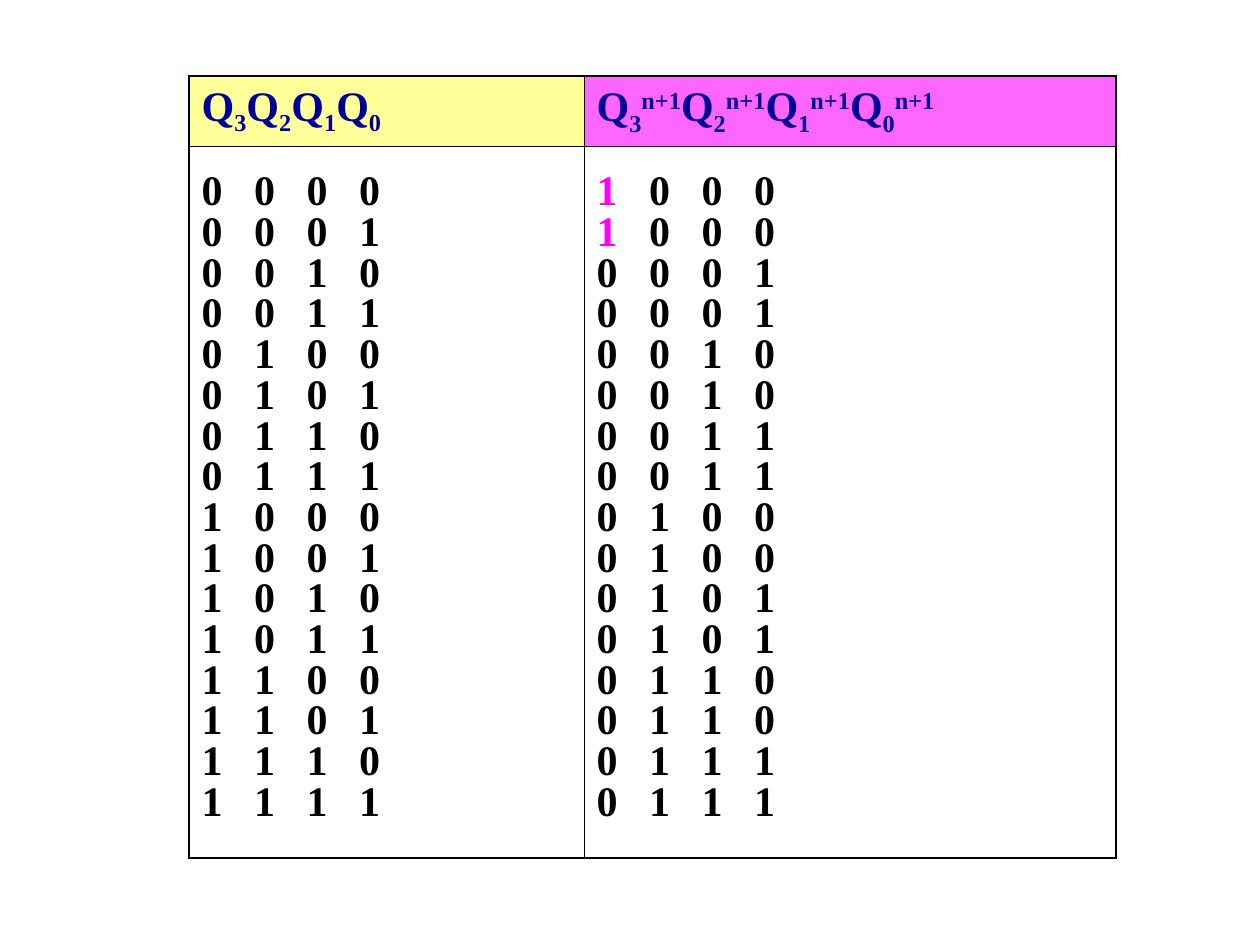
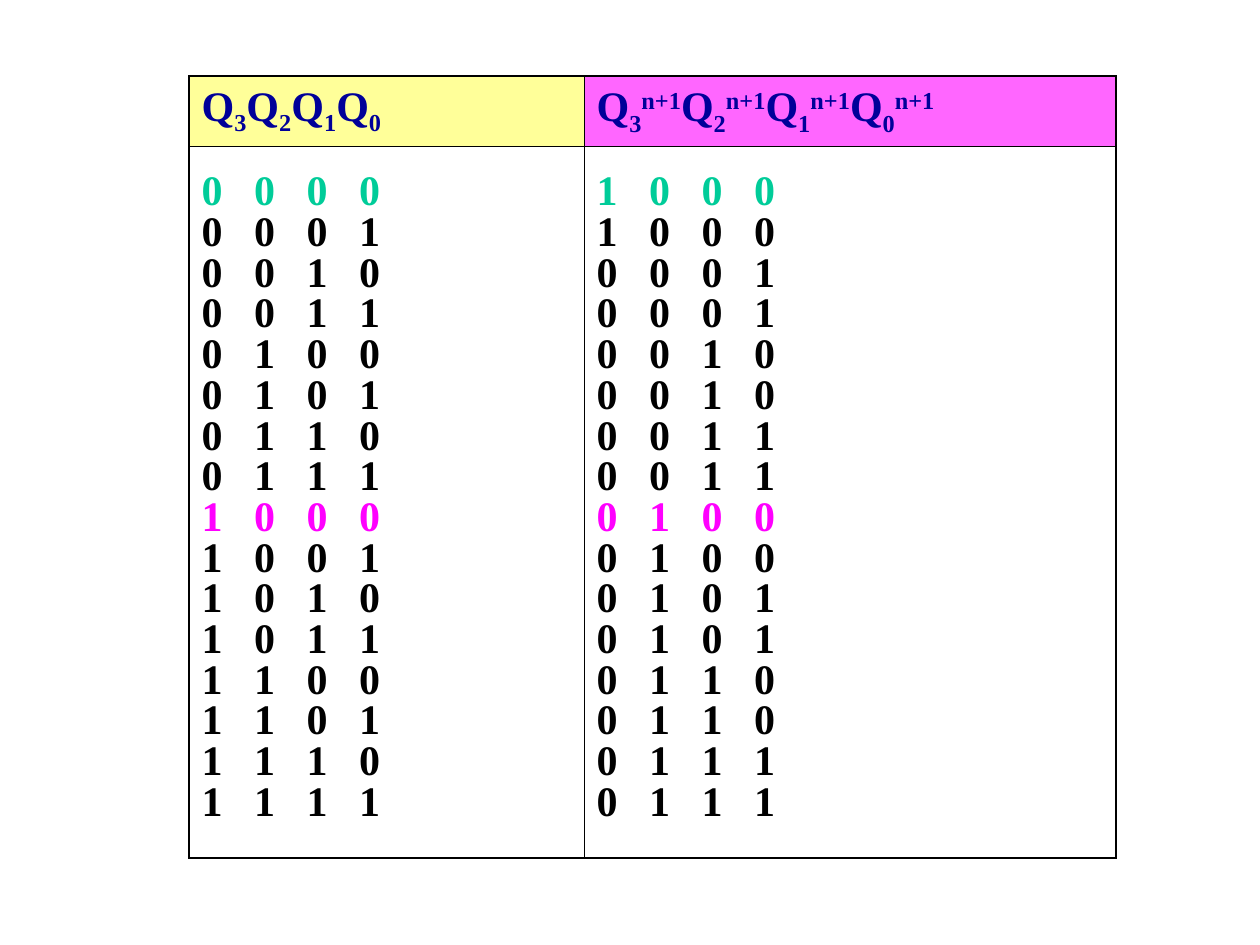
from lxml.etree import SubElement
from pptx import Presentation
from pptx.dml.color import RGBColor
from pptx.enum.text import MSO_ANCHOR
from pptx.oxml.ns import qn
from pptx.util import Emu, Pt

PX = 914400 // 126
FONT = "Times New Roman"
BLACK, WHITE, NAVY = "000000", "FFFFFF", "000099"
YELLOW, PINK = "FFFF99", "FF66FF"
MAGENTA, GREEN = "FF00FF", "00CC99"

COLUMN_WIDTHS = (395, 436, 96)
ROW_HEIGHTS = (70, 712)
OUTER, INNER = Pt(1.08), Pt(0.45)
DIGIT_PITCH = Pt(30)
TIGHT = 0.65
SUBSCRIPT, SUPERSCRIPT = -25000, 30000

STATES = range(16)
NEXT_STATES = [state // 2 if state > 1 else 8 for state in STATES]


def px(length):
    return Emu(length * PX)


def rgb(colour):
    return RGBColor.from_string(colour)


def style_paragraph(paragraph, colour, line_spacing=None):
    paragraph.line_spacing = line_spacing
    font = paragraph.font
    font.name, font.size, font.bold = FONT, Pt(24), True
    font.color.rgb = rgb(colour)


def add_run(paragraph, text, baseline=0, colour=None):
    run = paragraph.add_run()
    run.text = text
    if baseline:
        run.font._element.set("baseline", str(baseline))
    if colour:
        run.font.color.rgb = rgb(colour)


def add_border(cell, side, width):
    """Draw one side of a cell; no width means no line."""
    properties = cell._tc.get_or_add_tcPr()
    line = SubElement(properties, qn(f"a:ln{side}"))
    if width is None:
        SubElement(line, qn("a:noFill"))
        return
    line.set("w", str(width))
    fill = SubElement(line, qn("a:solidFill"))
    SubElement(fill, qn("a:srgbClr")).set("val", BLACK)


def style_cell(cell, fill, row, column):
    borders = {
        "L": (OUTER, INNER, None)[column],
        "R": (INNER, None, OUTER)[column],
        "T": (OUTER, INNER)[row],
        "B": (INNER, OUTER)[row],
    }
    for side, width in borders.items():
        add_border(cell, side, width)
    cell.fill.solid()
    cell.fill.fore_color.rgb = rgb(fill)
    cell.vertical_anchor = MSO_ANCHOR.MIDDLE


def write_heading(cell, exponent="", line_spacing=None):
    """Write Q3 to Q0 with subscripts and an optional exponent."""
    paragraph = cell.text_frame.paragraphs[0]
    style_paragraph(paragraph, NAVY, line_spacing)
    for index in "3210":
        add_run(paragraph, "Q")
        add_run(paragraph, index, SUBSCRIPT)
        if exponent:
            add_run(paragraph, exponent, SUPERSCRIPT)


def add_digit_tabs(paragraph):
    tabs = SubElement(paragraph._p.get_or_add_pPr(), qn("a:tabLst"))
    for digit in range(1, 4):
        tab = SubElement(tabs, qn("a:tab"))
        tab.set("pos", str(digit * DIGIT_PITCH))
        tab.set("algn", "l")


def write_states(cell, states, highlights):
    """Write states in binary; highlights maps a row to (colour, digit count)."""
    frame = cell.text_frame
    for row, state in enumerate(states):
        paragraph = frame.add_paragraph() if row else frame.paragraphs[0]
        add_digit_tabs(paragraph)
        if row:
            paragraph.space_before = Pt(6)
        style_paragraph(paragraph, BLACK, TIGHT)
        text = "\t".join(f"{state:04b}")
        colour, digits = highlights.get(row, (BLACK, 4))
        split = 2 * digits - 1
        add_run(paragraph, text[:split], colour=colour)
        if text[split:]:
            add_run(paragraph, text[split:])


def add_state_table(slide, present_highlights, next_highlights):
    frame = slide.shapes.add_table(
        len(ROW_HEIGHTS), len(COLUMN_WIDTHS), px(189), px(76),
        px(sum(COLUMN_WIDTHS)), px(sum(ROW_HEIGHTS)))
    table = frame.table
    table.first_row = table.horz_banding = False
    for column, width in zip(table.columns, COLUMN_WIDTHS):
        column.width = px(width)
    for row, height in zip(table.rows, ROW_HEIGHTS):
        row.height = px(height)
    for row, fills in enumerate(((YELLOW, PINK, PINK), (WHITE,) * 3)):
        for column, fill in enumerate(fills):
            style_cell(table.cell(row, column), fill, row, column)
    write_heading(table.cell(0, 0), line_spacing=TIGHT)
    write_heading(table.cell(0, 1), exponent="n+1")
    write_states(table.cell(1, 0), STATES, present_highlights)
    write_states(table.cell(1, 1), NEXT_STATES, next_highlights)


def main():
    presentation = Presentation()
    presentation.slide_width, presentation.slide_height = px(1260), px(945)
    blank = presentation.slide_layouts[6]
    entering_one = {0: (MAGENTA, 1), 1: (MAGENTA, 1)}
    marked_rows = {0: (GREEN, 4), 8: (MAGENTA, 4)}
    for highlights in (({}, entering_one), (marked_rows, marked_rows)):
        add_state_table(presentation.slides.add_slide(blank), *highlights)
    presentation.save("out.pptx")


if __name__ == "__main__":
    main()
